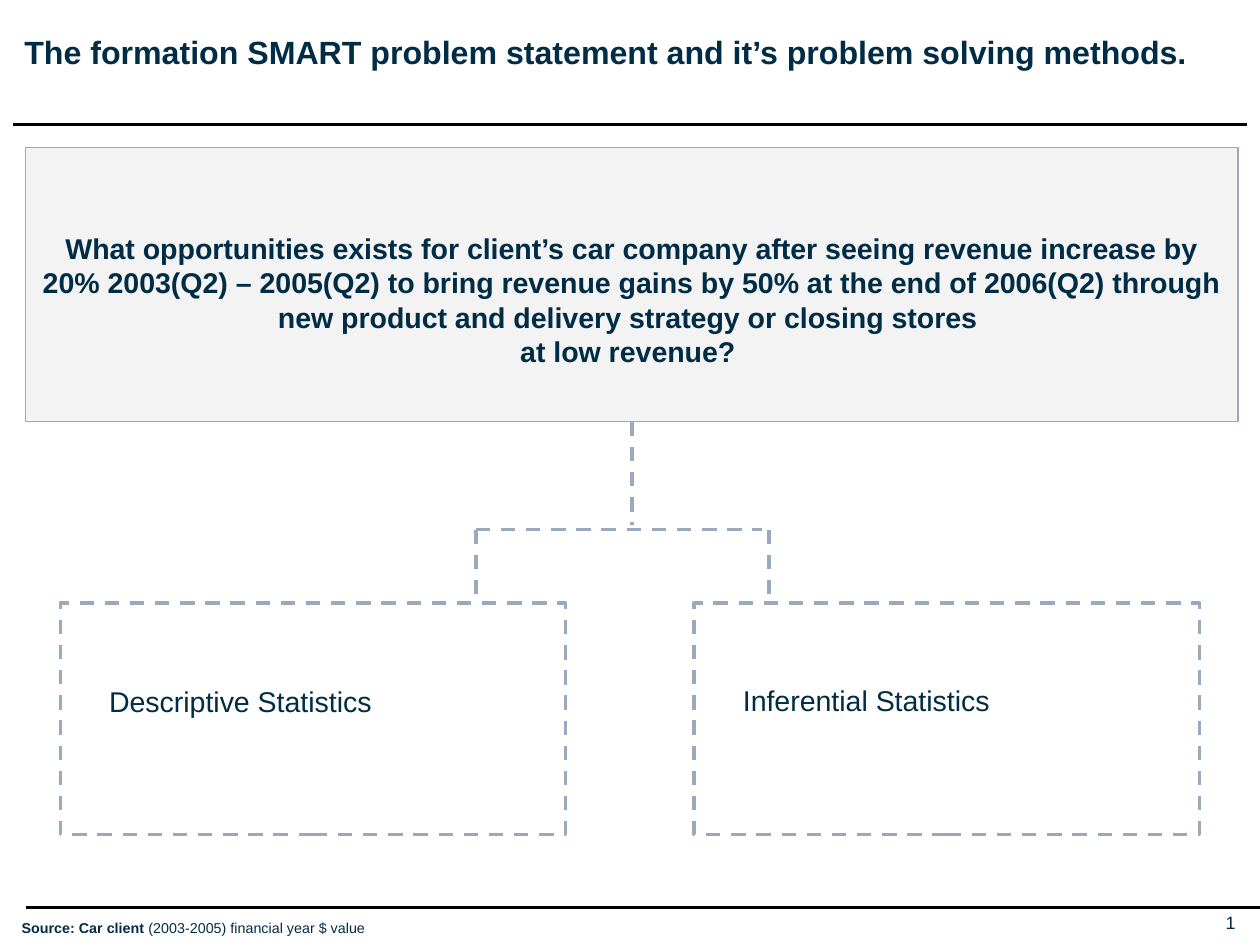
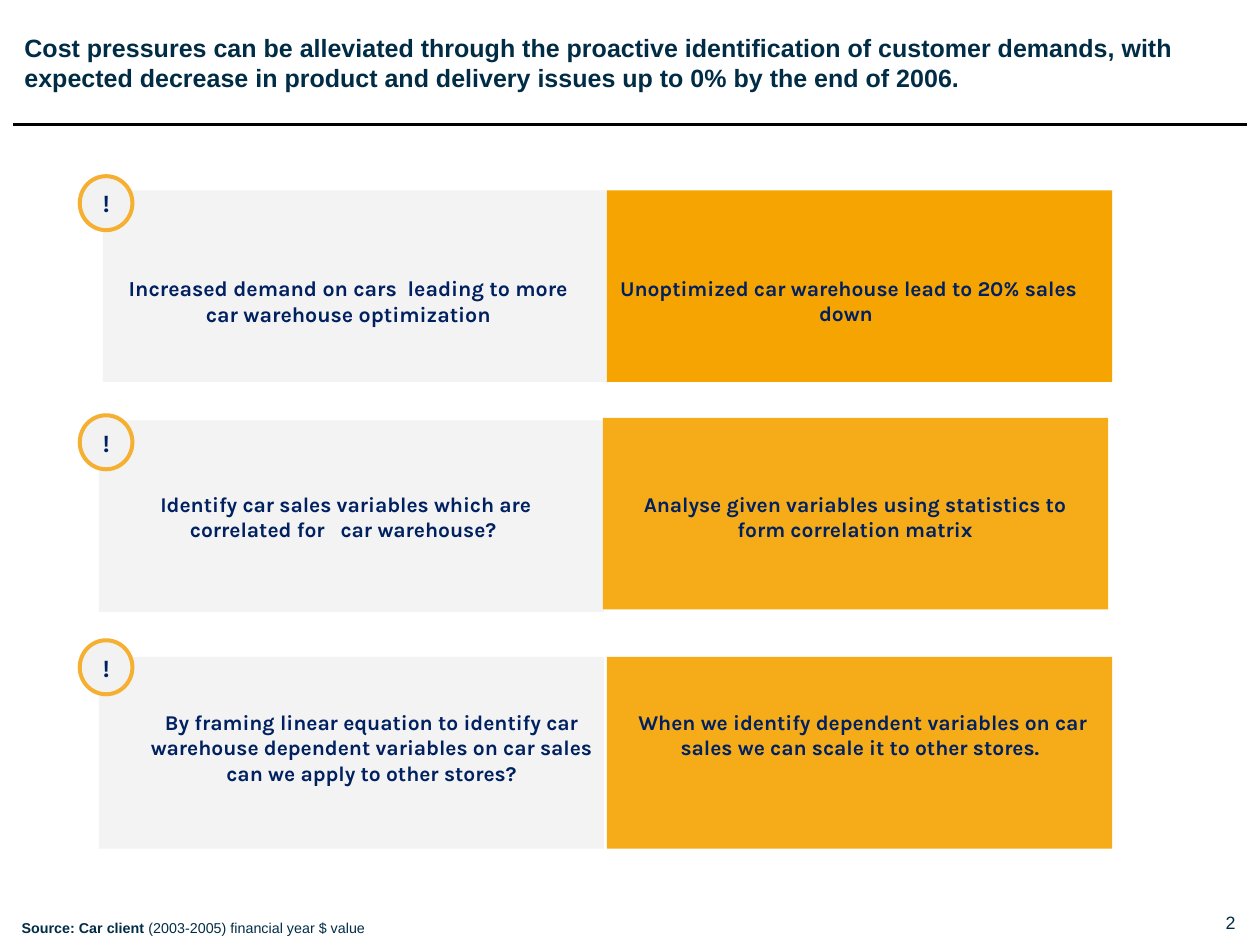
"""Build two slides: a problem statement tree and a grid of paired findings."""
from dataclasses import dataclass

from lxml import etree
from pptx import Presentation
from pptx.dml.color import RGBColor
from pptx.enum import dml, shapes, text
from pptx.oxml import ns
from pptx.shapes.autoshape import Shape
from pptx.shapes.connector import Connector
from pptx.slide import Slide
from pptx.util import Inches, Pt

INK = RGBColor(0x00, 0x2C, 0x46)
NAVY = RGBColor(0x00, 0x20, 0x60)
BLACK = RGBColor(0x00, 0x00, 0x00)
STEEL = RGBColor(0x99, 0xAA, 0xBE)
GREY = RGBColor(0xF2, 0xF2, 0xF2)
GOLD = RGBColor(0xF6, 0xA4, 0x01)
RING = RGBColor(0xF5, 0xAF, 0x31)

RECT = shapes.MSO_SHAPE.RECTANGLE
OVAL = shapes.MSO_SHAPE.OVAL
LEFT, MID, RIGHT = text.PP_ALIGN.LEFT, text.PP_ALIGN.CENTER, text.PP_ALIGN.RIGHT
TIGHT = (0, 0, 0, 0)
LOOSE = (0.1, 0.05, 0.1, 0.05)
PANEL = (3.93, 1.49)


@dataclass(frozen=True)
class Box:
    """A place in inches."""
    x: float
    y: float
    w: float
    h: float


@dataclass(frozen=True)
class Font:
    """The look of a run."""
    size: float
    bold: bool = False
    color: RGBColor = INK
    name: str = "Arial"


@dataclass(frozen=True)
class Panel:
    """A filled block with its own words."""
    x: float
    y: float
    fill: RGBColor
    alpha: int
    words: str
    text: Box
    size: float = 11.8


@dataclass(frozen=True)
class Row:
    """A badge height with a left and a right panel."""
    badge: float
    left: Panel
    right: Panel


Runs = list[tuple[str, Font]]


def write(shape: Shape, paras: list[Runs], align: text.PP_ALIGN,
          inset: tuple[float, ...], anchor: text.MSO_ANCHOR) -> None:
    """Fill a shape with paragraphs of runs."""
    frame = shape.text_frame
    frame.word_wrap = True
    frame.vertical_anchor = anchor
    (frame.margin_left, frame.margin_top,
     frame.margin_right, frame.margin_bottom) = map(Inches, inset)
    for i, runs in enumerate(paras):
        para = frame.paragraphs[0] if i == 0 else frame.add_paragraph()
        para.alignment = align
        for words, look in runs:
            run = para.add_run()
            run.text = words
            run.font.size = Pt(look.size)
            run.font.bold = look.bold
            run.font.name = look.name
            run.font.color.rgb = look.color


def label(slide: Slide, box: Box, runs: Runs, align: text.PP_ALIGN = LEFT,
          inset: tuple[float, ...] = LOOSE,
          anchor: text.MSO_ANCHOR = text.MSO_ANCHOR.TOP) -> None:
    """Add a text box."""
    shape = slide.shapes.add_textbox(*map(Inches, (box.x, box.y, box.w, box.h)))
    write(shape, [runs], align, inset, anchor)


def block(slide: Slide, kind: shapes.MSO_SHAPE, box: Box,
          fill: RGBColor | None = None, alpha: int = 100,
          line: RGBColor | None = None, width: float = 2,
          dash: bool = False) -> Shape:
    """Add a preset shape."""
    shape = slide.shapes.add_shape(kind, *map(Inches, (box.x, box.y, box.w, box.h)))
    shape.shadow.inherit = False
    if fill is None:
        shape.fill.background()
    else:
        shape.fill.solid()
        shape.fill.fore_color.rgb = fill
        if alpha < 100:
            color = shape.fill._xPr.find(".//" + ns.qn("a:srgbClr"))
            etree.SubElement(color, ns.qn("a:alpha"), val=str(alpha * 1000))
    if line is None:
        shape.line.fill.background()
    else:
        shape.line.color.rgb = line
        shape.line.width = Pt(width)
        if dash:
            shape.line.dash_style = dml.MSO_LINE.DASH
    return shape


def rule(slide: Slide, x1: float, y1: float, x2: float, y2: float,
         color: RGBColor = BLACK, dash: bool = False) -> Connector:
    """Add a straight line."""
    line = slide.shapes.add_connector(
        shapes.MSO_CONNECTOR.STRAIGHT, *map(Inches, (x1, y1, x2, y2)))
    line.line.color.rgb = color
    line.line.width = Pt(2)
    if dash:
        line.line.dash_style = dml.MSO_LINE.DASH
    etree.SubElement(line._element.spPr, ns.qn("a:effectLst"))
    return line


def start(deck: Presentation, title: str, size: float) -> Slide:
    """Add a slide with its title, rule, page number and source."""
    slide = deck.slides.add_slide(deck.slide_layouts[6])
    label(slide, Box(0.19, 0.25, 9.43, 0.5), [(title, Font(size, True))], inset=TIGHT)
    rule(slide, 0.1, 0.97, 9.7, 0.97)
    label(slide, Box(9.44, 7.09, 0.17, 0.17), [(str(len(deck.slides)), Font(10))],
          RIGHT, TIGHT, text.MSO_ANCHOR.MIDDLE)
    label(slide, Box(0.07, 7.1, 3.63, 0.24),
          [("Source: Car client", Font(8, True)),
           (" (2003-2005) financial year $ value", Font(8))])
    return slide


def tree(deck: Presentation) -> None:
    """Draw the question and its two methods."""
    slide = start(deck, "The formation SMART problem statement and it’s "
                        "problem solving methods.", 18)
    rule(slide, 0.2, 7.06, 9.81, 7.06)
    ask = block(slide, RECT, Box(0.2, 1.15, 9.43, 2.13), GREY, 85, STEEL, 0.75)
    bold = Font(16, True)
    write(ask, [
        [("What opportunities exists for client’s car company after seeing revenue "
          "increase by 20% 2003(Q2) – 2005(Q2) to bring revenue gains by 50% at the "
          "end of 2006(Q2) through new product and delivery strategy or closing "
          "stores ", bold)],
        [("at low revenue? ", bold)],
    ], MID, (0.1, 0.23, 0.1, 0), text.MSO_ANCHOR.MIDDLE)

    fork, top = 4.12, 4.69
    for x, leg, y, words in ((0.47, 3.7, 5.27, "Descriptive Statistics"),
                             (5.4, 5.98, 5.26, "Inferential Statistics")):
        block(slide, RECT, Box(x, top, 3.93, 1.8), line=STEEL, dash=True)
        rule(slide, leg, fork, leg, top, STEEL, True)
        label(slide, Box(x + 0.28, y, 3.37, 0.37), [(words, Font(16))])
    rule(slide, 3.7, fork, 5.93, fork, STEEL, True)
    stem = rule(slide, 4.91, 3.28, 4.91, 4.08, STEEL, True)
    stem.begin_connect(ask, 2)
    stem.end_x = stem.begin_x


ROWS = [
    Row(1.37,
        Panel(0.8, 1.48, GREY, 85, "Increased demand on cars  leading to more "
              "car warehouse optimization", Box(0.82, 2.09, 3.78, 0.74), 12),
        Panel(4.72, 1.48, GOLD, 100, "Unoptimized car warehouse lead to 20% sales "
              "down ", Box(4.71, 2.09, 3.78, 0.5))),
    Row(3.23,
        Panel(0.77, 3.27, GREY, 85, "Identify car sales variables which are "
              "correlated for   car warehouse? ", Box(0.8, 3.77, 3.78, 0.5)),
        Panel(4.69, 3.25, GOLD, 90, "Analyse given variables using statistics to "
              "form correlation matrix", Box(4.76, 3.77, 3.78, 0.5))),
    Row(4.98,
        Panel(0.77, 5.11, GREY, 85, "By framing linear equation to identify car "
              "warehouse dependent variables on car sales can we apply to other "
              "stores?", Box(1, 5.47, 3.78, 0.69)),
        Panel(4.72, 5.11, GOLD, 90, "When we identify dependent variables on car "
              "sales we can scale it to other stores. ", Box(4.82, 5.47, 3.78, 0.5))),
]


def grid(deck: Presentation) -> None:
    """Draw the three rows of paired panels."""
    slide = start(deck, "Cost pressures can be alleviated through the proactive "
                        "identification of customer demands, with expected decrease "
                        "in product and delivery issues up to 0% by the end of 2006.",
                  14)
    for row in ROWS:
        for part in (row.left, row.right):
            block(slide, RECT, Box(part.x, part.y, *PANEL), part.fill, part.alpha)
            label(slide, part.text,
                  [(part.words, Font(part.size, True, NAVY, "Karla"))], MID)
        badge = block(slide, OVAL, Box(0.62, row.badge, 0.41, 0.42), GREY,
                      line=RING, width=2.25)
        write(badge, [[("!", Font(13.7, True, NAVY, "Karla"))]], MID, LOOSE,
              text.MSO_ANCHOR.MIDDLE)


def main() -> None:
    """Build and save the deck."""
    deck = Presentation()
    deck.slide_width, deck.slide_height = Inches(9.8), Inches(7.35)
    tree(deck)
    grid(deck)
    deck.save("out.pptx")


if __name__ == "__main__":
    main()
